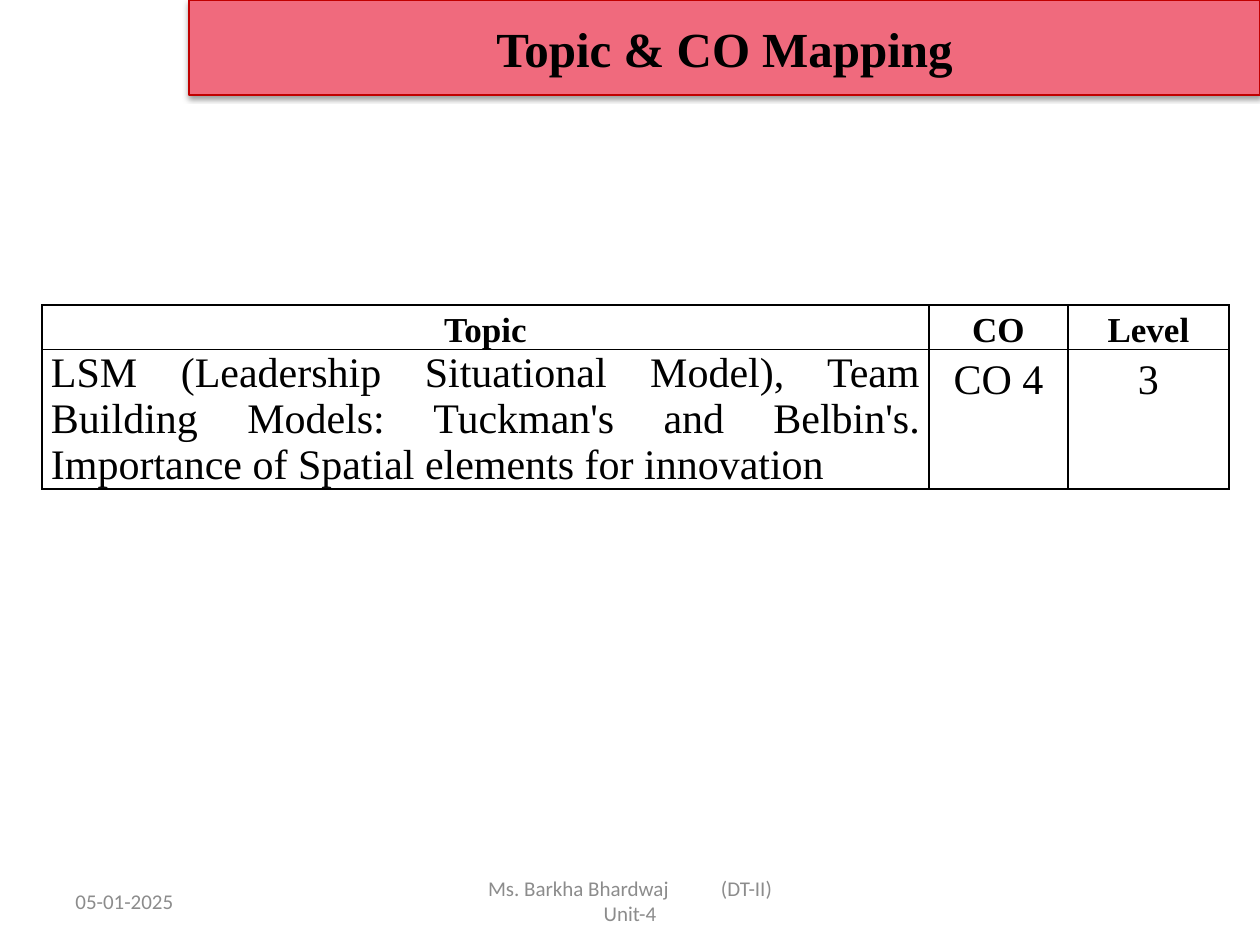
from lxml.etree import SubElement
from pptx import Presentation
from pptx.dml.color import RGBColor
from pptx.enum.shapes import MSO_SHAPE as SHAPE
from pptx.enum.text import MSO_ANCHOR as ANCHOR, PP_ALIGN as ALIGN
from pptx.oxml import parse_xml
from pptx.oxml.ns import nsdecls, qn
from pptx.util import Pt

PX = 914400 // 126
COLORS = {"banner": "F06A7D", "edge": "C00000", "ink": "000000", "footer": "8C8C8C"}
HEAD = {"name": "Times New Roman", "size": Pt(20), "bold": True}
BODY = {"name": "Times New Roman", "size": Pt(24), "bold": False}
TITLE = {"name": "Times New Roman", "size": Pt(28), "bold": True}
FOOTER = {"name": "Calibri", "size": Pt(12)}


def rgb(key):
    return RGBColor.from_string(COLORS[key])


def px(*lengths):
    return [n * PX for n in lengths]


def add_run(p, text, font, color="ink"):
    r = p.add_run()
    r.text = text
    for key, value in font.items():
        setattr(r.font, key, value)
    r.font.color.rgb = rgb(color)
    return r


def add_banner(s, box, text):
    sp = s.shapes.add_shape(SHAPE.RECTANGLE, *px(*box))
    sp.fill.solid()
    sp.fill.fore_color.rgb = rgb("banner")
    sp.line.color.rgb = rgb("edge")
    sp.line.width = Pt(0.75)
    sp._element.spPr.append(parse_xml(
        f'<a:effectLst {nsdecls("a")}>'
        '<a:outerShdw blurRad="40000" dist="20000" dir="5400000" rotWithShape="0">'
        f'<a:srgbClr val="{COLORS["ink"]}"><a:alpha val="38000"/></a:srgbClr>'
        '</a:outerShdw></a:effectLst>'))
    tf = sp.text_frame
    tf.vertical_anchor = ANCHOR.MIDDLE
    p = tf.paragraphs[0]
    p.alignment = ALIGN.CENTER
    add_run(p, text, TITLE)


def add_borders(cell):
    tcPr = cell._tc.get_or_add_tcPr()
    for side in ("lnL", "lnR", "lnT", "lnB"):
        ln = SubElement(tcPr, qn(f"a:{side}"), w=str(Pt(1)))
        fill = SubElement(ln, qn("a:solidFill"))
        SubElement(fill, qn("a:srgbClr"), val=COLORS["ink"])


def add_mapping(s, box, widths, heights, rows):
    table = s.shapes.add_table(len(rows), len(widths), *px(*box)).table
    table.first_row = table.horz_banding = False
    for col, width in zip(table.columns, px(*widths)):
        col.width = width
    for row, height in zip(table.rows, px(*heights)):
        row.height = height
    for i, texts in enumerate(rows):
        for j, text in enumerate(texts):
            cell = table.cell(i, j)
            cell.margin_left = cell.margin_right = 9 * PX
            cell.margin_top = cell.margin_bottom = 0
            add_borders(cell)
            cell.fill.background()
            p = cell.text_frame.paragraphs[0]
            if i and not j:
                p.alignment = ALIGN.JUSTIFY
            else:
                p.alignment = ALIGN.CENTER
                p.line_spacing = 1.15
            add_run(p, text, BODY if i else HEAD)


def add_footer(s, box, parts, align, gaps=()):
    tf = s.shapes.add_textbox(*px(*box)).text_frame
    tf.word_wrap = True
    tf.vertical_anchor = ANCHOR.MIDDLE
    p = tf.paragraphs[0]
    p.alignment = align
    for i, part in enumerate(parts):
        if i:
            space = add_run(p, " ", FOOTER, "footer")
            space._r.get_or_add_rPr().set("spc", str(gaps[i - 1] * 100))
        add_run(p, part, FOOTER, "footer")


def main():
    prs = Presentation()
    prs.slide_width, prs.slide_height = px(1260, 945)
    s = prs.slides.add_slide(prs.slide_layouts[6])
    add_banner(s, (189, 0, 1071, 95), "Topic & CO Mapping")
    add_mapping(s, (42, 305, 1187, 183), (887, 139, 161), (44, 139), [
        ("Topic", "CO", "Level"),
        ("LSM (Leadership Situational Model), Team Building Models: Tuckman's "
         "and Belbin's. Importance of Spatial elements for innovation", "CO 4", "3"),
    ])
    add_footer(s, (430, 876, 400, 50), ("Ms. Barkha Bhardwaj", "(DT-II)", "Unit-4"),
               ALIGN.CENTER, (27, 40))
    add_footer(s, (63, 876, 294, 50), ("05-01-2025",), ALIGN.LEFT)
    prs.save("out.pptx")


if __name__ == "__main__":
    main()
